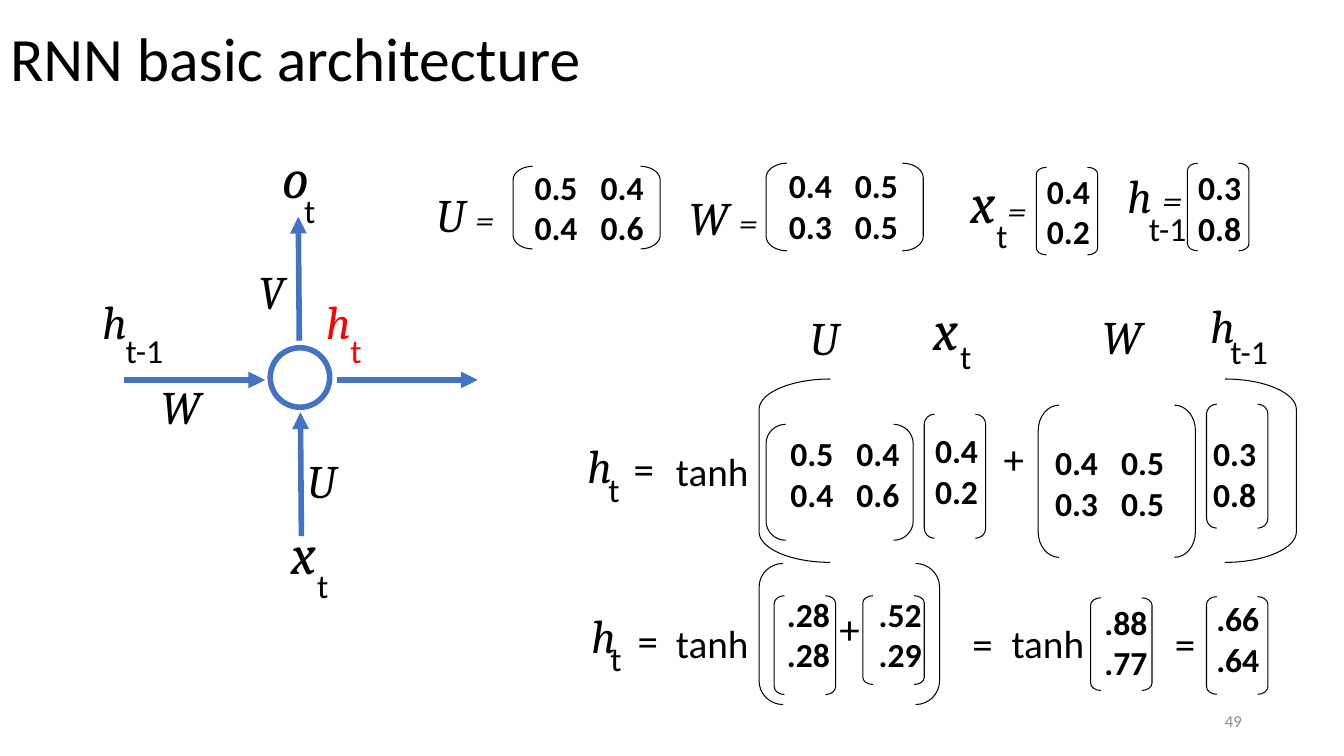
from dataclasses import dataclass

from lxml.etree import SubElement
from pptx import Presentation
from pptx.dml.color import RGBColor as RGB
from pptx.enum.shapes import MSO_CONNECTOR as Connector, MSO_SHAPE as Shape
from pptx.enum.text import MSO_ANCHOR as Anchor, PP_ALIGN as Align
from pptx.oxml.ns import qn
from pptx.util import Pt


@dataclass(frozen=True)
class Style:
    size: float
    height: float
    font: str = "Calibri"
    bold: bool = False
    italic: bool = False


@dataclass(frozen=True)
class Theme:
    black: RGB = RGB(0, 0, 0)
    red: RGB = RGB(255, 0, 0)
    blue: RGB = RGB(0x44, 0x72, 0xC4)
    gray: RGB = RGB(0x8C, 0x8C, 0x8C)
    bracket: RGB = RGB(5, 4, 3)
    title: Style = Style(44, 87.8)
    variable: Style = Style(33.3, 50.4, "Cambria", italic=True)
    vector: Style = Style(40, 58.3, "Cambria", italic=True)
    subscript: Style = Style(24, 38.9)
    operator: Style = Style(29.3, 45.4)
    function: Style = Style(28, 43.9)
    number: Style = Style(24, 67.7, bold=True)
    page: Style = Style(12, 28.8)


T = Theme()


@dataclass(frozen=True)
class Label:
    text: str
    x: float
    y: float
    color: RGB = T.black
    equals_size: float = 0


@dataclass(frozen=True)
class Bracket:
    x: float
    y: float
    w: float
    h: float


@dataclass(frozen=True)
class Matrix:
    rows: tuple[str, ...]
    x: float
    y: float
    bracket: Bracket


@dataclass(frozen=True)
class Arrow:
    x1: float
    y1: float
    x2: float
    y2: float


LABEL_KINDS = {
    "U": (T.variable, 36), "V": (T.variable, 33), "W": (T.variable, 40),
    "h": (T.variable, 29), "o": (T.vector, 32), "x": (T.vector, 30),
    "t": (T.subscript, 20), "t-1": (T.subscript, 40),
    "+": (T.operator, 26), "=": (T.operator, 26), "tanh": (T.function, 64),
}
EQUALS_WIDTH = 27
COLUMN_STEP = 47.2
CURVE = 0.45
NARROW, MEDIUM, WIDE = 43.9, 105.1, 112.3
U_ROWS = ("0.5\t0.4", "0.4\t0.6")
W_ROWS = ("0.4\t0.5", "0.3\t0.5")
X_ROWS = ("0.4", "0.2")
H_ROWS = ("0.3", "0.8")

LABELS = [
    Label("V", 180, 182.9), Label("U", 214.6, 317.8), Label("W", 110.2, 265.2),
    Label("o", 196.6, 97.2), Label("t", 212.4, 131),
    Label("x", 203, 365.8), Label("t", 221.8, 398.9),
    Label("h", 228.2, 204.5, T.red), Label("t", 245.5, 231.1, T.red),
    Label("h", 68.4, 204.5), Label("t-1", 85, 231.1),
    Label("U", 306.7, 127.7, equals_size=25.3),
    Label("W", 487.4, 129.8, equals_size=25.3),
    Label("x", 688.3, 115.2, equals_size=25.3), Label("t", 707, 149),
    Label("h", 800.6, 114.5, equals_size=26.7), Label("t-1", 815.8, 144),
    Label("U", 573.8, 216), Label("W", 782.6, 215.3),
    Label("x", 661.7, 205.9), Label("t", 681.1, 235.4),
    Label("h", 859.7, 207.4), Label("t-1", 874.1, 231.8),
    Label("h", 414.7, 307.4), Label("t", 429.8, 329.8),
    Label("=", 447.8, 311.8), Label("tanh", 478.1, 314.6), Label("+", 712.1, 304.6),
    Label("h", 417.6, 428.4), Label("t", 431.3, 450.7),
    Label("=", 450.7, 434.9), Label("tanh", 478.1, 437.8), Label("+", 594.7, 426.2),
    Label("=", 689.8, 437), Label("tanh", 717.8, 437.8), Label("=", 834.5, 437),
]
MATRICES = [
    Matrix(U_ROWS, 377, 114.4, Bracket(366.5, 118.8, MEDIUM, 59)),
    Matrix(W_ROWS, 558.7, 113.3, Bracket(547.2, 116.6, WIDE, 62.6)),
    Matrix(X_ROWS, 743, 117.3, Bracket(740.2, 119.5, NARROW, 62.6)),
    Matrix(H_ROWS, 851, 114.7, Bracket(848.2, 116.6, NARROW, 62.6)),
    Matrix(U_ROWS, 559.8, 304.6, Bracket(547.2, 303.1, MEDIUM, 82.8)),
    Matrix(X_ROWS, 663.1, 302.6, Bracket(660.2, 295.9, NARROW, 88.6)),
    Matrix(W_ROWS, 748.8, 311.2, Bracket(741.6, 289.4, WIDE, 108.7)),
    Matrix(H_ROWS, 861.8, 304.6, Bracket(861.8, 288.7, NARROW, 88.6)),
    Matrix((".28", ".28"), 557.3, 419.2, Bracket(553, 425.5, NARROW, 70.6)),
    Matrix((".52", ".29"), 622.8, 419.2, Bracket(616.3, 425.5, NARROW, 63.4)),
    Matrix((".88", ".77"), 784.1, 424.8, Bracket(779, 427, NARROW, 66.2)),
    Matrix((".66", ".64"), 864, 422.6, Bracket(861.8, 426.2, NARROW, 69.8)),
]
OUTER_BRACKETS = [Bracket(542.2, 270.7, 383.8, 131), Bracket(542.2, 402.5, 128.9, 100.8)]
ARROWS = [
    Arrow(88.6, 271.4, 189.4, 271.4), Arrow(240.5, 271.4, 341.3, 271.4),
    Arrow(213.8, 243.4, 213.1, 154.8), Arrow(215.3, 383, 214.6, 294.5),
]


def set_font(p, style: Style, color: RGB) -> None:
    f = p.font
    f.name, f.size = style.font, Pt(style.size)
    f.bold, f.italic = style.bold, style.italic
    f.color.rgb = color


def add_box(s, x: float, y: float, w: float, h: float):
    tf = s.shapes.add_textbox(Pt(x), Pt(y), Pt(w), Pt(h)).text_frame
    tf.word_wrap = True
    tf.margin_left = tf.margin_right = tf.margin_top = tf.margin_bottom = Pt(4.8)
    return tf


def add_label(s, label: Label) -> None:
    style, width = LABEL_KINDS[label.text]
    if label.equals_size:
        width += EQUALS_WIDTH
    p = add_box(s, label.x, label.y, width, style.height).paragraphs[0]
    set_font(p, style, label.color)
    r = p.add_run()
    r.text = label.text
    if label.equals_size:
        r.text += " "
        r = p.add_run()
        r.text = "="
        r.font.size = Pt(label.equals_size)


def round_corners(lines: list) -> None:
    for start in (0, 4):
        first, *others = lines[start:start + 3]
        first.tag = qn("a:cubicBezTo")
        for line in others:
            first.append(line[0])
            line.getparent().remove(line)


def add_bracket(s, b: Bracket) -> None:
    rx, ry = (b.w / 6, b.h * 0.08) if b.w < 72 else (b.w * 0.133, b.h / 6)
    side = [(rx, b.h), (rx * CURVE, b.h), (0, b.h - ry * CURVE), (0, b.h - ry),
            (0, ry), (0, ry * CURVE), (rx * CURVE, 0), (rx, 0)]
    left = [(Pt(b.x + x), Pt(b.y + y)) for x, y in side]
    right = [(Pt(b.x + b.w - x), Pt(b.y + y)) for x, y in reversed(side)]
    builder = s.shapes.build_freeform(*left[0])
    builder.add_line_segments(left[1:], close=False)
    builder.move_to(*right[0])
    builder.add_line_segments(right[1:], close=False)
    sp = builder.convert_to_shape()
    lines = list(sp._element.iter(qn("a:lnTo")))
    round_corners(lines[:7])
    round_corners(lines[7:])
    sp.shadow.inherit = False
    sp.fill.background()
    sp.line.color.rgb, sp.line.width = T.bracket, Pt(0.75)


def add_matrix(s, m: Matrix) -> None:
    add_bracket(s, m.bracket)
    width = 93 if "\t" in m.rows[0] else 50
    tf = add_box(s, m.x, m.y, width, T.number.height)
    for i, row in enumerate(m.rows):
        p = tf.add_paragraph() if i else tf.paragraphs[0]
        if "\t" in row:
            tabs = SubElement(p._p.get_or_add_pPr(), qn("a:tabLst"))
            SubElement(tabs, qn("a:tab"), pos=str(Pt(COLUMN_STEP)), algn="l")
        p.text = row
        set_font(p, T.number, T.black)


def add_arrow(s, a: Arrow) -> None:
    c = s.shapes.add_connector(Connector.STRAIGHT, Pt(a.x1), Pt(a.y1), Pt(a.x2), Pt(a.y2))
    c.line.color.rgb, c.line.width = T.blue, Pt(4)
    SubElement(c.line._get_or_add_ln(), qn("a:tailEnd"), type="triangle")
    SubElement(c._element.spPr, qn("a:effectLst"))


def add_title(s) -> None:
    sp = s.shapes.title
    sp.left, sp.top, sp.width, sp.height = Pt(0), Pt(0), Pt(960), Pt(T.title.height)
    sp.text_frame.vertical_anchor = Anchor.MIDDLE
    p = sp.text_frame.paragraphs[0]
    p.text, p.alignment, p.line_spacing = "RNN basic architecture", Align.LEFT, 0.9
    set_font(p, T.title, T.black)


def add_page_number(s) -> None:
    tf = add_box(s, 678.2, 500.4, 216, T.page.height)
    tf.margin_right = Pt(7.2)
    tf.vertical_anchor = Anchor.MIDDLE
    p = tf.paragraphs[0]
    p.text, p.alignment = "49", Align.RIGHT
    set_font(p, T.page, T.gray)


def add_neuron(s) -> None:
    sp = s.shapes.add_shape(Shape.OVAL, Pt(193), Pt(248.4), Pt(42.5), Pt(42.5))
    sp.shadow.inherit = False
    sp.fill.background()
    sp.line.color.rgb, sp.line.width = T.blue, Pt(4)


def main() -> None:
    prs = Presentation()
    prs.slide_width, prs.slide_height = Pt(960), Pt(540)
    s = prs.slides.add_slide(prs.slide_layouts[5])
    add_title(s)
    add_page_number(s)
    add_neuron(s)
    for items, draw in ((ARROWS, add_arrow), (LABELS, add_label),
                        (MATRICES, add_matrix), (OUTER_BRACKETS, add_bracket)):
        for item in items:
            draw(s, item)
    prs.save("out.pptx")


if __name__ == "__main__":
    main()
